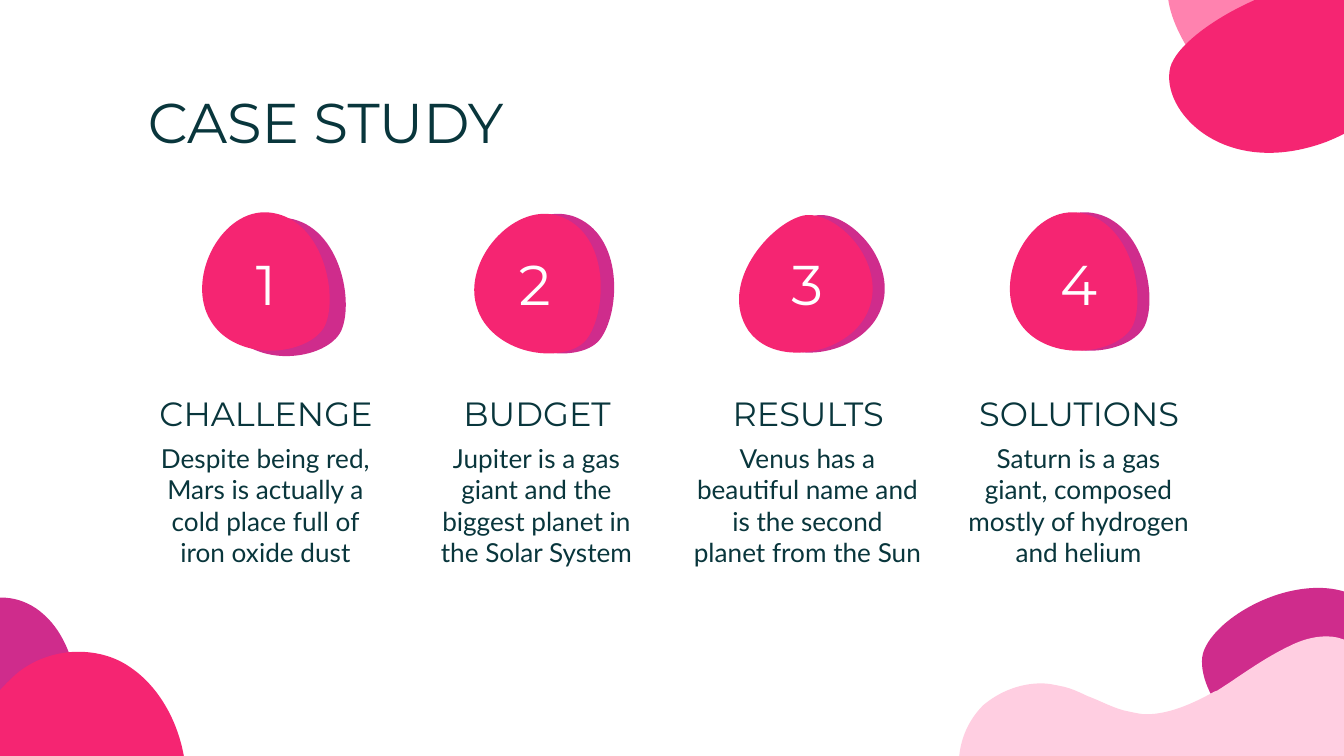
from dataclasses import dataclass

from pptx import Presentation
from pptx.dml.color import RGBColor
from pptx.enum.text import MSO_ANCHOR, PP_ALIGN
from pptx.oxml.ns import qn
from pptx.shapes.autoshape import Shape
from pptx.slide import Slide
from pptx.text.text import TextFrame
from pptx.util import Inches, Pt

TOP, MIDDLE = MSO_ANCHOR.TOP, MSO_ANCHOR.MIDDLE
LEFT, CENTER = PP_ALIGN.LEFT, PP_ALIGN.CENTER

DARK = RGBColor(0x09, 0x36, 0x3C)
WHITE = RGBColor(0xFF, 0xFF, 0xFF)
PINK = RGBColor(0xF5, 0x25, 0x72)
VIOLET = RGBColor(0xCF, 0x2C, 0x8C)
ROSE = RGBColor(0xFF, 0x82, 0xAF)
PALE = RGBColor(0xFF, 0xCE, 0xE1)

HEADING_FONT, BODY_FONT = "Montserrat", "Lato"

Point = tuple[float, float]
Segment = list[Point]  # one point is a line, three points are a curve


@dataclass
class Contour:
    start: Point
    segments: list[Segment]


@dataclass
class Blob:
    left: float
    top: float
    width: float
    height: float
    rotation: float
    color: RGBColor


@dataclass
class Step:
    heading: str
    body: str
    number_left: float
    number_width: float
    blob_left: float
    blob_top: float
    rotation: float
    shade_dx: float
    shade_dy: float = 0


# Every blob is this outline, stretched and turned
BLOB_WIDTH, BLOB_HEIGHT = 1.14, 1.03
BLOB_OUTLINE = Contour((0.59, 0), [
    [(0.25, 0), (0, 0.51), (0.19, 0.81)],
    [(0.28, 0.96), (0.46, 1.03), (0.63, 1.03)],
    [(0.82, 1.03), (0.99, 0.95), (1.04, 0.84)],
    [(1.14, 0.61), (1.02, 0.03), (0.61, 0)],
    [(0.6, 0), (0.59, 0), (0.59, 0)],
])

CORNER_TURN = 157.2
TOP_BLOBS = [
    Blob(8.71, -0.44, 1.03, 1.18, CORNER_TURN, ROSE),
    Blob(8.58, -0.11, 2.27, 1.18, CORNER_TURN, PINK),
]
RIGHT_BLOB = Blob(8.89, 4.38, 1.66, 1.18, CORNER_TURN, VIOLET)
LEFT_BLOB = Blob(-0.42, 4.41, 1.1, 1.29, CORNER_TURN, VIOLET)

RIGHT_WAVE_ENDS = [
    Contour((7.75, 5.09), [
        [(7.59, 5.09), (7.44, 5.15), (7.32, 5.25)],
        [(7.21, 5.36), (7.15, 5.5), (7.14, 5.65)],
        [(7.83, 5.65)],
        [(7.88, 5.47), (7.96, 5.31), (8.08, 5.18)],
        [(8.02, 5.15), (7.95, 5.12), (7.89, 5.11)],
        [(7.84, 5.1), (7.8, 5.09), (7.75, 5.09)],
    ]),
    Contour((9.87, 4.74), [
        [(9.77, 4.74), (9.68, 4.77), (9.6, 4.81)],
        [(9.41, 4.9), (9.25, 5.02), (9.08, 5.13)],
        [(9.13, 5.19), (9.19, 5.26), (9.26, 5.3)],
        [(9.38, 5.37), (9.54, 5.35), (9.69, 5.36)],
        [(9.84, 5.36), (10.01, 5.42), (10.05, 5.56)],
        [(10.06, 5.59), (10.06, 5.62), (10.06, 5.65)],
        [(10.28, 5.65)],
        [(10.29, 5.44), (10.28, 5.22), (10.21, 5.02)],
        [(10.18, 4.93), (10.12, 4.83), (10.03, 4.78)],
        [(9.98, 4.75), (9.92, 4.74), (9.87, 4.74)],
    ]),
]
RIGHT_WAVE_MIDDLE = [Contour((9.08, 5.13), [
    [(9.07, 5.14), (9.05, 5.15), (9.04, 5.15)],
    [(8.88, 5.24), (8.7, 5.32), (8.53, 5.32)],
    [(8.49, 5.32), (8.45, 5.31), (8.4, 5.3)],
    [(8.29, 5.28), (8.19, 5.22), (8.08, 5.18)],
    [(7.96, 5.31), (7.88, 5.47), (7.83, 5.65)],
    [(10.06, 5.65)],
    [(10.06, 5.62), (10.06, 5.59), (10.05, 5.56)],
    [(10.01, 5.42), (9.84, 5.36), (9.69, 5.36)],
    [(9.54, 5.35), (9.38, 5.37), (9.26, 5.3)],
    [(9.19, 5.26), (9.13, 5.19), (9.08, 5.13)],
])]
LEFT_WAVE = [Contour((0.58, 4.85), [
    [(0.73, 4.85), (0.87, 4.89), (0.99, 4.98)],
    [(1.2, 5.13), (1.35, 5.41), (1.38, 5.71)],
    [(-1.12, 5.71)],
    [(-1.11, 5.66), (-1.09, 5.62), (-1.06, 5.59)],
    [(-0.97, 5.49), (-0.83, 5.46), (-0.71, 5.46)],
    [(-0.59, 5.46), (-0.46, 5.47), (-0.34, 5.42)],
    [(-0.15, 5.35), (-0.03, 5.14), (0.14, 5)],
    [(0.27, 4.9), (0.43, 4.85), (0.58, 4.85)],
])]

STEPS = [
    Step("CHALLENGE", "Despite being red, Mars is actually a cold place full of iron oxide dust",
         1.01, 1.94, 1.38, 1.58, 0, 0.12, 0.04),
    Step("BUDGET", "Jupiter is a gas giant and the biggest planet in the Solar System",
         2.95, 2.06, 3.42, 1.58, 14.7, 0.1),
    Step("RESULTS", "Venus has a beautiful name and is the second planet from the Sun",
         5, 2.01, 5.43, 1.66, 232.6, 0.09),
    Step("SOLUTIONS", "Saturn is a gas giant, composed mostly of hydrogen and helium",
         7.04, 1.97, 7.39, 1.58, 0, 0.09),
]
FIRST_COLUMN, LAST_COLUMN = 0.98, 7.03
COLUMN_PITCH = (LAST_COLUMN - FIRST_COLUMN) / (len(STEPS) - 1)


def draw_outline(page: Slide, contours: list[Contour], color: RGBColor, outlined: bool = False) -> Shape:
    def to_emu(point: Point) -> Point:
        return Inches(point[0]), Inches(point[1])

    builder = page.shapes.build_freeform(*to_emu(contours[0].start))
    for index, contour in enumerate(contours):
        if index:
            builder.move_to(*to_emu(contour.start))
        builder.add_line_segments([to_emu(point) for segment in contour.segments for point in segment])
    shape = builder.convert_to_shape()

    # Join each three line points into one Bézier curve
    lines = iter(shape.element.findall(".//" + qn("a:lnTo")))
    for segment in (segment for contour in contours for segment in contour.segments):
        group = [next(lines) for _ in segment]
        if len(group) == 3:
            curve = group[0]
            for line in group[1:]:
                curve.append(line[0])
                line.getparent().remove(line)
            curve.tag = qn("a:cubicBezTo")

    shape.shadow.inherit = False
    shape.fill.solid()
    shape.fill.fore_color.rgb = color
    if outlined:
        shape.line.color.rgb = color
        shape.line.width = Pt(0.75)
    else:
        shape.line.fill.background()
    return shape


def draw_blob(page: Slide, blob: Blob) -> None:
    def place(point: Point) -> Point:
        return (blob.left + point[0] * blob.width / BLOB_WIDTH,
                blob.top + point[1] * blob.height / BLOB_HEIGHT)

    segments = [[place(point) for point in segment] for segment in BLOB_OUTLINE.segments]
    shape = draw_outline(page, [Contour(place(BLOB_OUTLINE.start), segments)], blob.color)
    shape.rotation = blob.rotation


def write_text(frame: TextFrame, text: str, font: str, size: float, color: RGBColor = DARK,
               align: PP_ALIGN = CENTER, anchor: MSO_ANCHOR = TOP, spacing: float = 1) -> None:
    frame.text = text
    frame.word_wrap = True
    frame.vertical_anchor = anchor
    frame.margin_left = frame.margin_right = frame.margin_top = frame.margin_bottom = Inches(0.1)
    para = frame.paragraphs[0]
    para.alignment = align
    para.line_spacing = spacing
    span = para.runs[0]
    span.font.name = font
    span.font.size = Pt(size)
    span.font.color.rgb = color


def add_box(page: Slide, left: float, top: float, width: float, height: float) -> TextFrame:
    return page.shapes.add_textbox(Inches(left), Inches(top), Inches(width), Inches(height)).text_frame


def draw_step(page: Slide, index: int, step: Step) -> None:
    for dx, dy, color in ((step.shade_dx, step.shade_dy, VIOLET), (0, 0, PINK)):
        draw_blob(page, Blob(step.blob_left + dx, step.blob_top + dy,
                             BLOB_WIDTH, BLOB_HEIGHT, step.rotation, color))
    write_text(add_box(page, step.number_left, 1.79, step.number_width, 0.63),
               str(index + 1), HEADING_FONT, 30, WHITE, anchor=MIDDLE)
    left = FIRST_COLUMN + index * COLUMN_PITCH
    write_text(add_box(page, left, 2.78, 2, 0.5), step.heading, HEADING_FONT, 18, spacing=1.15)
    write_text(add_box(page, left + 0.05, 3.19, 1.89, 1.2), step.body, BODY_FONT, 14)


def main() -> None:
    deck = Presentation()
    deck.slide_width = Inches(10)
    deck.slide_height = deck.slide_width * 9 // 16
    page = deck.slides.add_slide(deck.slide_layouts[5])

    # Corner decoration
    for blob in TOP_BLOBS:
        draw_blob(page, blob)
    draw_blob(page, RIGHT_BLOB)
    draw_outline(page, RIGHT_WAVE_ENDS, PALE, outlined=True)
    draw_outline(page, RIGHT_WAVE_MIDDLE, PALE, outlined=True)
    draw_blob(page, LEFT_BLOB)
    draw_outline(page, LEFT_WAVE, PINK)

    # Title
    title = page.shapes.title
    title.left, title.top, title.width, title.height = Inches(1), Inches(0.55), Inches(7.98), Inches(0.63)
    write_text(title.text_frame, "CASE STUDY", HEADING_FONT, 30, align=LEFT)

    # Numbered steps
    for index, step in enumerate(STEPS):
        draw_step(page, index, step)

    deck.save("out.pptx")


if __name__ == "__main__":
    main()
